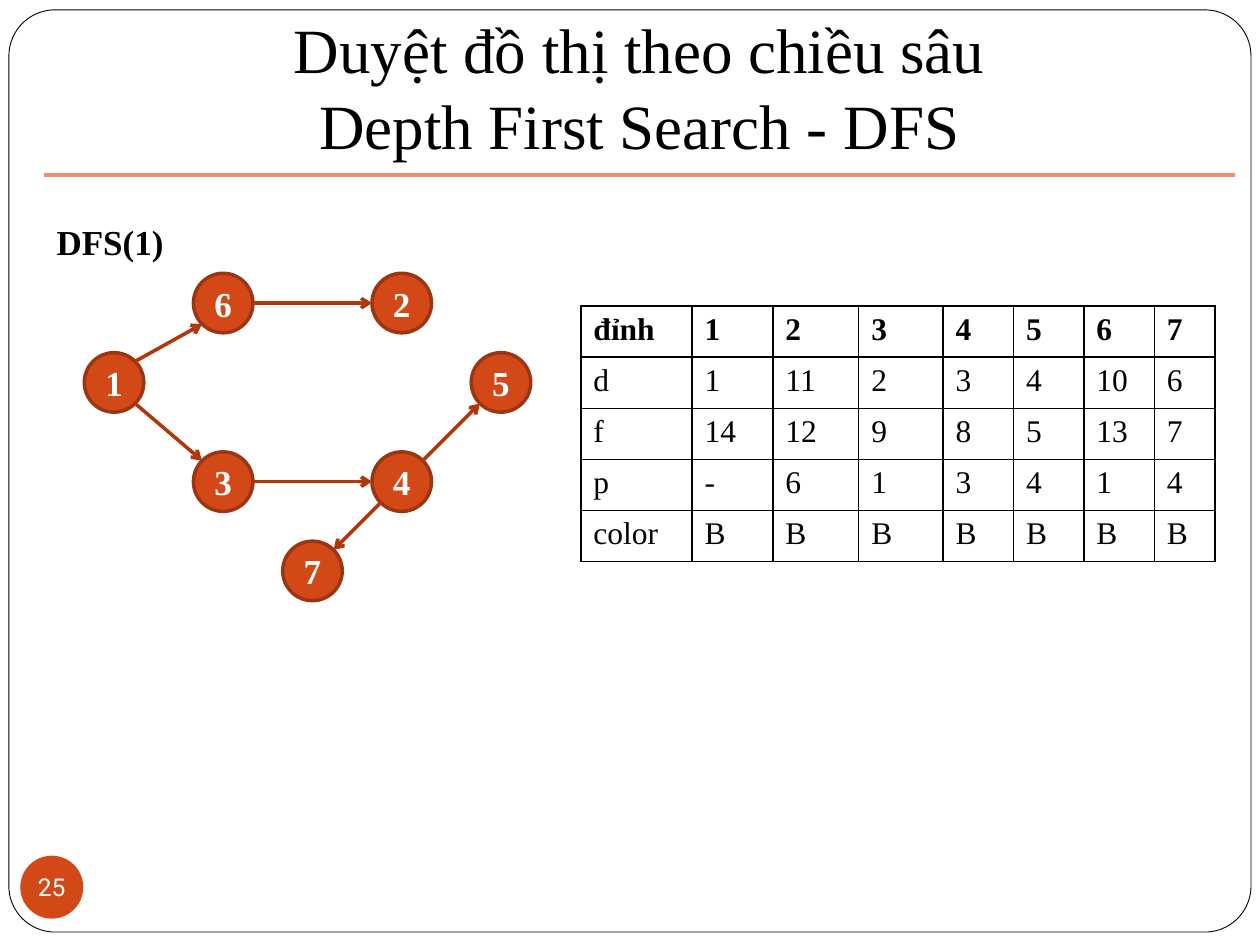
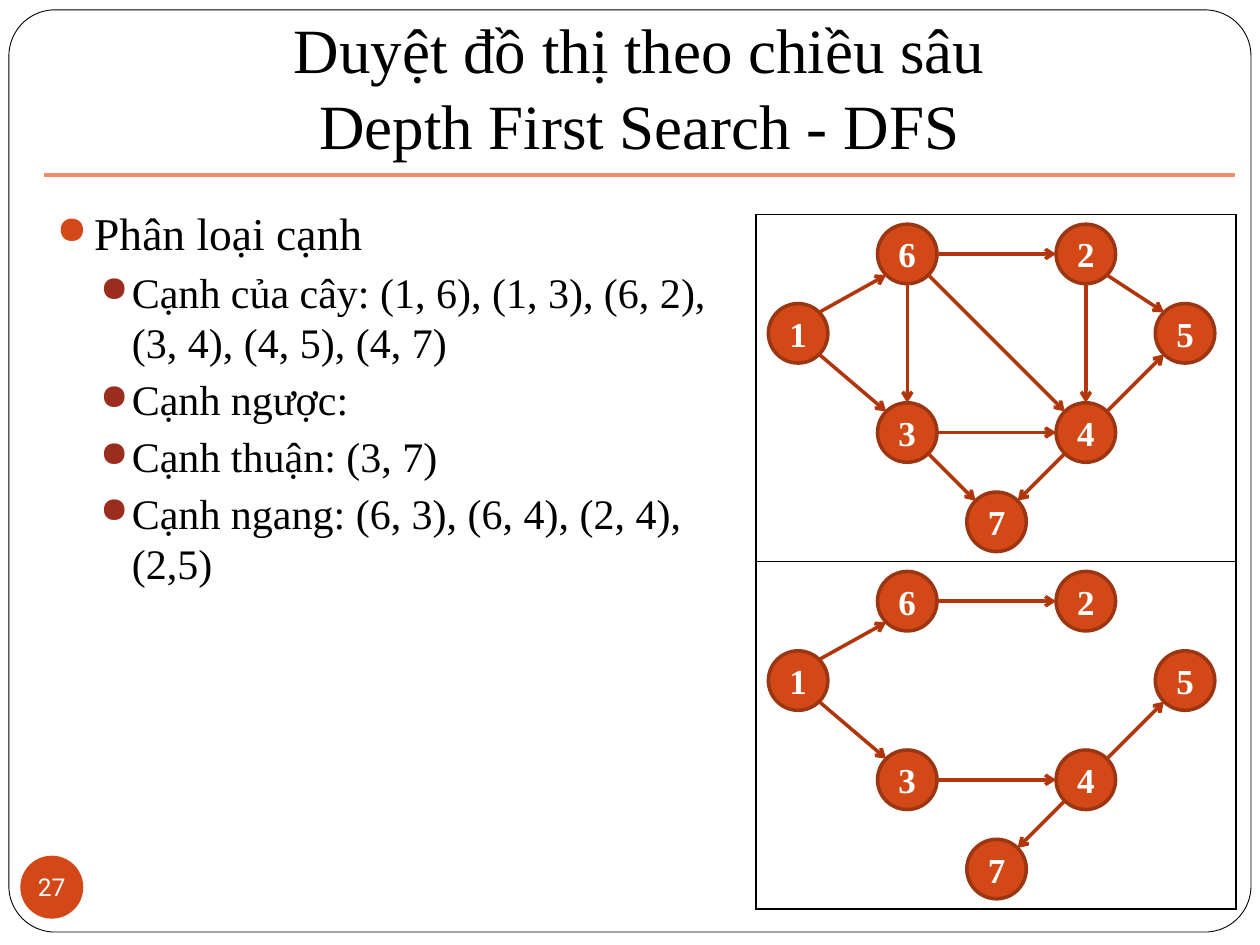
from math import hypot
from typing import NamedTuple

from lxml.etree import SubElement
from pptx import Presentation
from pptx.dml.color import RGBColor
from pptx.enum.shapes import MSO_CONNECTOR as Link, MSO_SHAPE as Preset
from pptx.enum.text import MSO_ANCHOR as Anchor, PP_ALIGN as Align
from pptx.oxml.ns import qn
from pptx.util import Cm, Pt

SERIF = "Times New Roman"
BLACK, WHITE = "000000", "FFFFFF"
ORANGE, RIM, EDGE, RULE, BRICK = "D34817", "9C3511", "B1360B", "EF8C6A", "9B2D1F"
TITLE = "Duyệt đồ thị theo chiều sâu\nDepth First Search - DFS"
NODE_SIZE = 1.2


class Box(NamedTuple):
    left: float
    top: float
    width: float
    height: float

    def lengths(self) -> list:
        return [Cm(value) for value in self]


class Point(NamedTuple):
    x: float
    y: float


class Edge(NamedTuple):
    start: int
    end: int


class Bullet(NamedTuple):
    color: str
    margin: float
    hanging: float
    size: float
    before: float


NODES = {
    1: Point(0, 1.6), 6: Point(2.2, 0), 3: Point(2.2, 3.6), 2: Point(5.8, 0),
    4: Point(5.8, 3.6), 5: Point(7.8, 1.6), 7: Point(4, 5.4),
}
TREE_EDGES = [Edge(1, 6), Edge(1, 3), Edge(6, 2), Edge(3, 4), Edge(4, 5), Edge(4, 7)]
OTHER_EDGES = [Edge(2, 5), Edge(6, 3), Edge(2, 4), Edge(6, 4), Edge(3, 7)]

VISIT_ROWS = [
    "đỉnh 1 2 3 4 5 6 7",
    "d 1 11 2 3 4 10 6",
    "f 14 12 9 8 5 13 7",
    "p - 6 1 3 4 1 4",
    "color B B B B B B B",
]
VISIT_WIDTHS = [2.24, 1.63, 1.73, 1.7, 1.42, 1.42, 1.42, 1.22]

TOPIC = Bullet(ORANGE, 0.76, 0.76, 26, 0)
KIND = Bullet(BRICK, 1.52, 0.64, 24, 3.7)
EDGE_KINDS = [
    (TOPIC, "Phân loại cạnh"),
    (KIND, "Cạnh của cây: (1, 6), (1, 3), (6, 2), (3, 4), (4, 5), (4, 7)"),
    (KIND, "Cạnh ngược:"),
    (KIND, "Cạnh thuận: (3, 7)"),
    (KIND, "Cạnh ngang: (6, 3), (6, 4), (2, 4), (2,5)"),
]


def color(code: str) -> RGBColor:
    return RGBColor.from_string(code)


def write(paragraph, text: str, *, size: float, font=SERIF, ink=BLACK, bold=False, align=Align.LEFT) -> None:
    paragraph.text = text
    paragraph.alignment = align
    for run in paragraph.runs:
        run.font.name = font
        run.font.size = Pt(size)
        run.font.bold = bold
        run.font.color.rgb = color(ink)


def add_text_box(slide, box: Box, anchor=Anchor.TOP):
    frame = slide.shapes.add_textbox(*box.lengths()).text_frame
    frame.word_wrap = True
    frame.vertical_anchor = anchor
    return frame


def add_outline(slide, preset, box: Box, fill: str, rim: str = "", width: float = 0):
    shape = slide.shapes.add_shape(preset, *box.lengths())
    shape.shadow.inherit = False
    shape.fill.solid()
    shape.fill.fore_color.rgb = color(fill)
    if rim:
        shape.line.color.rgb = color(rim)
        shape.line.width = Pt(width)
    else:
        shape.line.fill.background()
    return shape


def add_disc(slide, box: Box, label: str, rim: str = "", wrap=True, **style) -> None:
    disc = add_outline(slide, Preset.OVAL, box, ORANGE, rim, 2)
    frame = disc.text_frame
    frame.margin_left = frame.margin_right = frame.margin_top = frame.margin_bottom = 0
    frame.word_wrap = wrap
    frame.vertical_anchor = Anchor.MIDDLE
    write(frame.paragraphs[0], label, ink=WHITE, align=Align.CENTER, **style)


def add_line(slide, start: Point, end: Point, ink: str, arrow=False) -> None:
    ends = [Cm(value) for value in (*start, *end)]
    line = slide.shapes.add_connector(Link.STRAIGHT, *ends)
    line.line.color.rgb = color(ink)
    line.line.width = Pt(2)
    properties = line._element.spPr
    if arrow:
        SubElement(properties.find(qn("a:ln")), qn("a:tailEnd"), type="arrow")
    SubElement(properties, qn("a:effectLst"))


def sign(value: float) -> int:
    return (value > 0) - (value < 0)


def rim_point(origin: Point, node: Point, toward: Point) -> Point:
    across, down = sign(toward.x - node.x), sign(toward.y - node.y)
    radius = NODE_SIZE / 2
    reach = radius / hypot(across, down)
    return Point(origin.x + node.x + radius + across * reach,
                 origin.y + node.y + radius + down * reach)


def add_graph(slide, origin: Point, edges: list[Edge]) -> None:
    for number, node in NODES.items():
        box = Box(origin.x + node.x, origin.y + node.y, NODE_SIZE, NODE_SIZE)
        add_disc(slide, box, str(number), RIM, size=20, bold=True)
    for edge in edges:
        start, end = NODES[edge.start], NODES[edge.end]
        add_line(slide, rim_point(origin, start, end), rim_point(origin, end, start), EDGE, arrow=True)


def add_border(cell) -> None:
    properties = cell._tc.get_or_add_tcPr()
    for side in ("a:lnL", "a:lnR", "a:lnT", "a:lnB"):
        border = SubElement(properties, qn(side), w=str(Pt(1)))
        fill = SubElement(border, qn("a:solidFill"))
        SubElement(fill, qn("a:srgbClr"), val=BLACK)
    cell.fill.background()


def add_grid(slide, corner: Point, widths: list[float], row_height: float, rows: list[list[str]]) -> None:
    box = Box(*corner, sum(widths), row_height * len(rows))
    grid = slide.shapes.add_table(len(rows), len(widths), *box.lengths()).table
    grid.first_row = grid.horz_banding = False
    for column, width in zip(grid.columns, widths):
        column.width = Cm(width)
    for row_index, row in enumerate(rows):
        grid.rows[row_index].height = Cm(row_height)
        for column_index, text in enumerate(row):
            cell = grid.cell(row_index, column_index)
            add_border(cell)
            if text:
                write(cell.text_frame.paragraphs[0], text, size=18, bold=row_index == 0)


def add_bullet(paragraph, bullet: Bullet, text: str) -> None:
    properties = paragraph._p.get_or_add_pPr()
    properties.set("marL", str(Cm(bullet.margin)))
    properties.set("indent", str(-Cm(bullet.hanging)))
    if bullet is KIND:
        paragraph.level = 1
    tint = SubElement(properties, qn("a:buClr"))
    SubElement(tint, qn("a:srgbClr"), val=bullet.color)
    SubElement(properties, qn("a:buSzPct"), val="85000")
    SubElement(properties, qn("a:buChar"), char="●")
    paragraph.space_before = Pt(bullet.before)
    write(paragraph, text, size=bullet.size)


def add_base_slide(deck, number: int):
    slide = deck.slides.add_slide(deck.slide_layouts[6])
    border = add_outline(slide, Preset.ROUNDED_RECTANGLE, Box(0.18, 0.2, 25.04, 18.59), WHITE, BLACK, 0.5)
    border.adjustments[0] = 0.05
    title = add_text_box(slide, Box(0.89, 0.33, 24, 3.18), Anchor.BOTTOM)
    title.margin_bottom = Cm(0.25)
    write(title.paragraphs[0], TITLE, size=36, align=Align.CENTER)
    add_line(slide, Point(0.89, 3.53), Point(24.89, 3.53), RULE)
    add_disc(slide, Box(0.41, 17.25, 1.27, 1.27), str(number), wrap=False, size=14, font="Roboto")
    return slide


def add_visit_slide(deck) -> None:
    slide = add_base_slide(deck, 25)
    add_grid(slide, Point(11.71, 6.17), VISIT_WIDTHS, 1.03, [row.split() for row in VISIT_ROWS])
    call = add_text_box(slide, Box(0.89, 4.32, 6.4, 1.12))
    write(call.paragraphs[0], "DFS(1)", size=20, bold=True)
    add_graph(slide, Point(1.7, 5.51), TREE_EDGES)


def add_edge_kinds_slide(deck) -> None:
    slide = add_base_slide(deck, 27)
    kinds = add_text_box(slide, Box(0.89, 4.01, 14.22, 13.89))
    for index, (bullet, text) in enumerate(EDGE_KINDS):
        paragraph = kinds.add_paragraph() if index else kinds.paragraphs[0]
        add_bullet(paragraph, bullet, text)
    panel_height = 7
    add_grid(slide, Point(15.24, 4.32), [9.68], panel_height, [[""], [""]])
    for panel, edges in enumerate((TREE_EDGES + OTHER_EDGES, TREE_EDGES)):
        add_graph(slide, Point(15.49, 4.52 + panel * panel_height), edges)


def main() -> None:
    deck = Presentation()
    deck.slide_width, deck.slide_height = Cm(25.4), Cm(19.05)
    add_visit_slide(deck)
    add_edge_kinds_slide(deck)
    deck.save("out.pptx")


if __name__ == "__main__":
    main()
